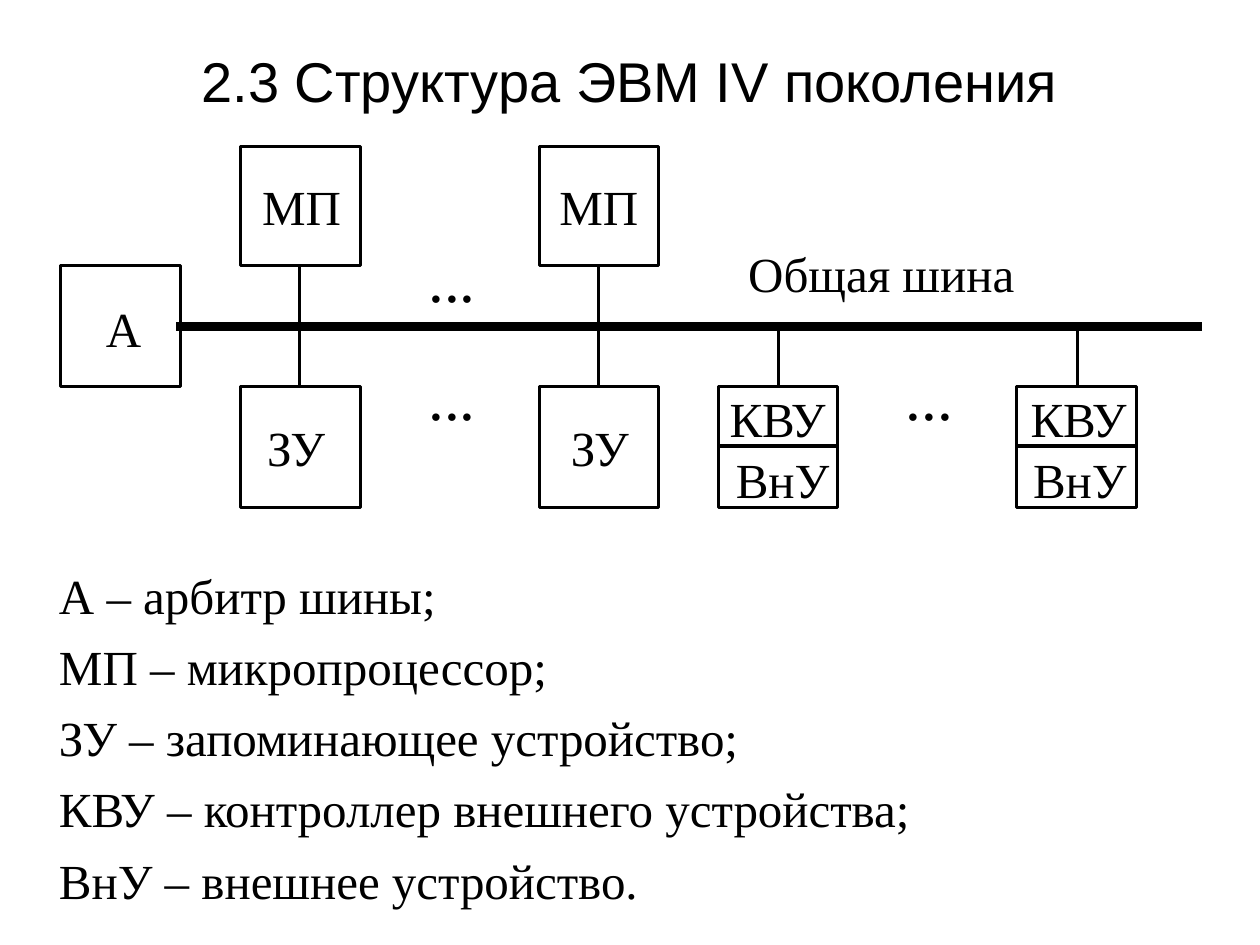
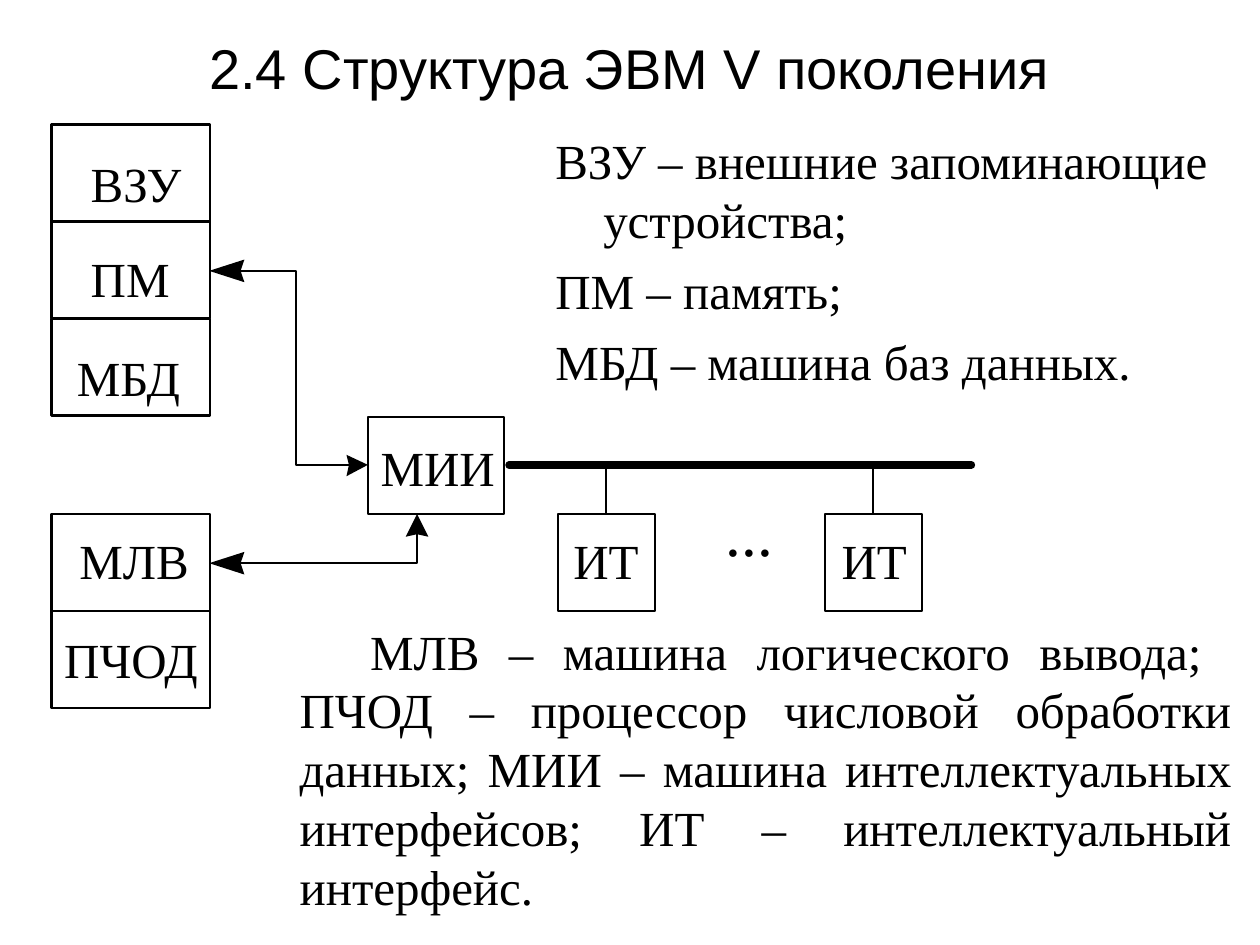
from lxml import etree
from pptx import Presentation
from pptx.dml.color import RGBColor
from pptx.enum.shapes import MSO_CONNECTOR as LINK, MSO_SHAPE as SHAPE
from pptx.enum.text import MSO_ANCHOR as ANCHOR, MSO_AUTO_SIZE as FIT, PP_ALIGN as ALIGN
from pptx.oxml.ns import qn
from pptx.util import Inches, Pt

BLACK, WHITE = "000000", "FFFFFF"
SERIF, SANS = "Times New Roman", "Arial"
TIGHT = dict(margin_left=0, margin_top=0, margin_right=0, margin_bottom=0,
             word_wrap=False, auto_size=FIT.SHAPE_TO_FIT_TEXT)
ROOMY = dict(margin_left=Inches(0.1), margin_top=Inches(0.05), margin_right=Inches(0.1),
             margin_bottom=Inches(0.05), word_wrap=True, vertical_anchor=ANCHOR.TOP)
LABEL_WIDTHS = {"А": 0.29, "МП": 0.64, "ЗУ": 0.48, "КВУ": 0.8, "ВнУ": 0.77, "ВЗУ": 0.74, "ПМ": 0.64,
                "МБД": 0.84, "МЛВ": 0.88, "ПЧОД": 1.09, "МИИ": 0.92, "ИТ": 0.53, "...": 0.39}


def paint(part, color):
    part.solid()
    part.fore_color.rgb = RGBColor.from_string(color)


def write(frame, lines, layout, align=ALIGN.LEFT, size=28, font=SERIF, hang=0.0, first=0.0):
    for key, value in layout.items():
        setattr(frame, key, value)
    frame.text = "\n".join(lines)
    for index, paragraph in enumerate(frame.paragraphs):
        paragraph.alignment = align
        paragraph.space_before = Pt(7 if index else 0)
        if hang:
            properties = paragraph._p.get_or_add_pPr()
            properties.set("marL", str(Inches(hang)))
            properties.set("indent", str(Inches(first)))
        for key, value in dict(name=font, size=Pt(size), bold=False).items():
            setattr(paragraph.font, key, value)
        paint(paragraph.font.fill, BLACK)


fourth = dict(
    title="2.3 Структура ЭВМ IV поколения", title_height=1.11, weight=1.75,
    bus=(1.43, 2.59, 9.5, 2.59), bus_weight=5.25, bus_cap="sq",
    boxes=[(0.48, 2.11, 0.95, 0.96)],
    labels=[("А", 0.84, 2.37), ("МП", 2.08, 1.4), ("МП", 4.44, 1.4),
            ("ЗУ", 2.12, 3.31), ("ЗУ", 4.53, 3.31),
            ("КВУ", 5.79, 3.08), ("КВУ", 8.18, 3.08),
            ("ВнУ", 5.84, 3.57), ("ВнУ", 8.2, 3.57),
            ("...", 3.4, 1.9), ("...", 3.4, 2.84), ("...", 7.19, 2.84)],
    links=[], routes=[], heads=[],
    notes=[
        ((0.37, 4.44, 9.5, 2.81), ALIGN.JUSTIFY, 0.38, -0.38,
         ["А – арбитр шины;", "МП – микропроцессор;", "ЗУ – запоминающее устройство;",
          "КВУ – контроллер внешнего устройства;", "ВнУ – внешнее устройство."]),
        ((5.84, 1.88, 3.4, 0.57), ALIGN.LEFT, 0.0, 0.0, ["Общая шина"])])

for left in (1.91, 4.28):
    fourth["boxes"] += [(left, 1.16, 0.95, 0.95), (left, 3.07, 0.95, 0.96)]
    fourth["links"] += [(left + 0.47, 2.11, left + 0.47, 2.59), (left + 0.47, 2.59, left + 0.47, 3.07)]
for left in (5.7, 8.07):
    fourth["boxes"].append((left, 3.07, 0.95, 0.96))
    fourth["links"] += [(left + 0.48, 2.59, left + 0.48, 3.07), (left, 3.54, left + 0.95, 3.54)]

fifth = dict(
    title="2.4 Структура ЭВМ V поколения", title_height=0.91, weight=1.39,
    bus=(4.04, 3.69, 7.71, 3.69), bus_weight=4.25, bus_cap="rnd",
    boxes=[(0.41, top, 1.26, 0.77) for top in (0.99, 1.76, 2.53, 4.08, 4.85)]
    + [(2.92, 3.31, 1.08, 0.77)] + [(left, 4.08, 0.77, 0.77) for left in (4.43, 6.55)],
    labels=[("ВЗУ", 0.72, 1.22), ("ПМ", 0.72, 1.97), ("МБД", 0.61, 2.76),
            ("МЛВ", 0.63, 4.21), ("ПЧОД", 0.51, 5), ("МИИ", 3.02, 3.47),
            ("ИТ", 4.55, 4.21), ("ИТ", 6.68, 4.21), ("...", 5.76, 3.92)],
    links=[(x, 3.69, x, 4.08) for x in (4.81, 6.93)],
    routes=[[(1.9, 2.15), (2.35, 2.15), (2.35, 3.69), (2.79, 3.69)],
            [(1.9, 4.47), (3.31, 4.47), (3.31, 4.21)]],
    heads=[[(1.66, y), (1.94, y - 0.09), (1.91, y), (1.94, y + 0.09)] for y in (2.15, 4.47)]
    + [[(2.92, 3.69), (2.75, 3.78), (2.77, 3.69), (2.75, 3.61)],
       [(3.31, 4.08), (3.4, 4.26), (3.31, 4.24), (3.22, 4.26)]],
    notes=[
        ((4.31, 0.99, 5.46, 2.07), ALIGN.LEFT, 0.38, -0.38,
         ["ВЗУ – внешние запоминающие устройства;", "ПМ – память;", "МБД – машина баз данных."]),
        ((1.9, 4.88, 7.97, 2.36), ALIGN.JUSTIFY, 0.38, 0.56,
         ["МЛВ – машина логического вывода; \vПЧОД – процессор числовой обработки данных; "
          "МИИ – машина интеллектуальных интерфейсов; ИТ – интеллектуальный интерфейс."])])

deck = Presentation()
deck.slide_width, deck.slide_height = Inches(10), Inches(7.5)

for scheme in (fourth, fifth):
    slide = deck.slides.add_slide(deck.slide_layouts[5])
    title = slide.shapes.title
    place = dict(left=0.5, top=0.08, width=9, height=scheme["title_height"])
    for key, value in place.items():
        setattr(title, key, Inches(value))
    write(title.text_frame, [scheme["title"]], ROOMY | dict(vertical_anchor=ANCHOR.MIDDLE),
          ALIGN.CENTER, 32, SANS)

    for box in scheme["boxes"]:
        unit = slide.shapes.add_shape(SHAPE.RECTANGLE, *map(Inches, box))
        unit.shadow.inherit = False
        paint(unit.fill, WHITE)
        paint(unit.line.fill, BLACK)
        unit.line.width = Pt(scheme["weight"])

    for ends in [scheme["bus"]] + scheme["links"]:
        wire = slide.shapes.add_connector(LINK.STRAIGHT, *map(Inches, ends))
        paint(wire.line.fill, BLACK)
        wire.line.width = Pt(scheme["weight"])
        if ends == scheme["bus"]:
            wire.line.width = Pt(scheme["bus_weight"])
            wire._element.spPr.find(qn("a:ln")).set("cap", scheme["bus_cap"])
        etree.SubElement(wire._element.spPr, qn("a:effectLst"))

    for points in scheme["routes"] + scheme["heads"]:
        is_head = points in scheme["heads"]
        start, *rest = [(Inches(x), Inches(y)) for x, y in points]
        builder = slide.shapes.build_freeform(*start)
        builder.add_line_segments(rest, close=is_head)
        arrow = builder.convert_to_shape()
        arrow.shadow.inherit = False
        if is_head:
            paint(arrow.fill, BLACK)
            arrow.line.fill.background()
        else:
            arrow.fill.background()
            paint(arrow.line.fill, BLACK)
            arrow.line.width = Pt(scheme["weight"])

    for label, left, top in scheme["labels"]:
        size, height = (36, 0.6) if label == "..." else (28, 0.47)
        caption = slide.shapes.add_textbox(*map(Inches, (left, top, LABEL_WIDTHS[label], height)))
        write(caption.text_frame, [label], TIGHT, size=size)

    for area, align, hang, first, lines in scheme["notes"]:
        note = slide.shapes.add_textbox(*map(Inches, area))
        write(note.text_frame, lines, ROOMY, align, hang=hang, first=first)

deck.save("out.pptx")
